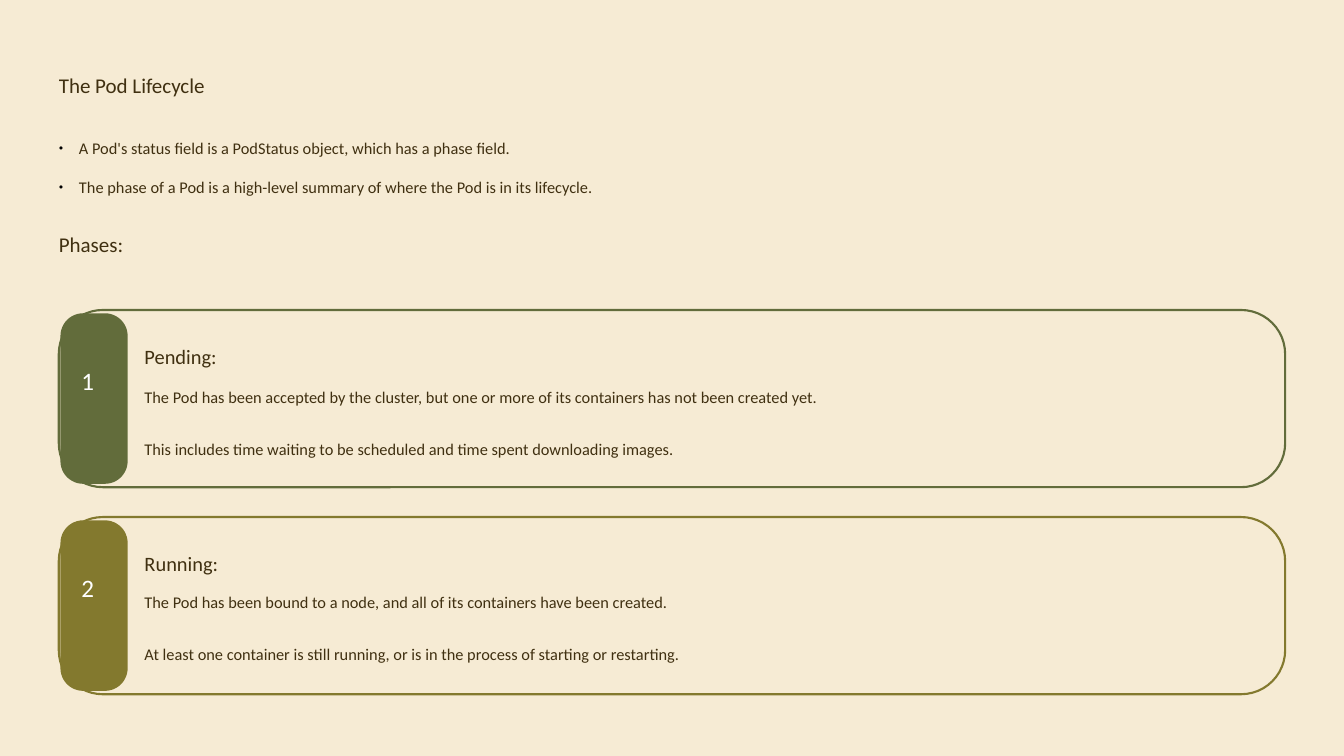
from lxml.etree import SubElement
from pptx import Presentation
from pptx.dml.color import RGBColor
from pptx.enum.shapes import MSO_SHAPE
from pptx.enum.text import MSO_ANCHOR, MSO_AUTO_SIZE, PP_ALIGN
from pptx.oxml.ns import qn
from pptx.util import Inches, Pt

CREAM = RGBColor(0xF6, 0xEB, 0xD4)
BROWN = RGBColor(0x40, 0x30, 0x11)
WHITE = RGBColor(0xFF, 0xFF, 0xFF)
GREEN = RGBColor(0x62, 0x6C, 0x3B)
OLIVE = RGBColor(0x83, 0x79, 0x2E)


def write(shape, box, lines, size, pitch, before=11.9, after=9.9, color=BROWN, bullet=False):
    shape.left, shape.top, shape.width, shape.height = [Inches(n) for n in box]
    frame = shape.text_frame
    frame.auto_size = MSO_AUTO_SIZE.NONE
    frame.word_wrap = True
    frame.vertical_anchor = MSO_ANCHOR.TOP
    frame.margin_left = frame.margin_right = frame.margin_top = frame.margin_bottom = 0
    for i, line in enumerate(lines):
        para = frame.add_paragraph() if i else frame.paragraphs[0]
        if bullet:
            props = para._p.get_or_add_pPr()
            props.set("marL", str(Inches(0.24)))
            props.set("indent", str(Inches(-0.24)))
            tint = SubElement(props, qn("a:buClr"))
            SubElement(tint, qn("a:srgbClr"), val="000000")
            SubElement(props, qn("a:buSzPct"), val="45000")
            SubElement(props, qn("a:buChar"), char="●")
        para.alignment = PP_ALIGN.LEFT
        para.line_spacing = Pt(pitch)
        para.space_before = Pt(before if i else 0)
        para.space_after = Pt(after)
        run = para.add_run()
        run.text = line
        run.font.name = "Calibri"
        run.font.size = Pt(size)
        run.font.color.rgb = color


def panel(box, curve):
    shape = slide.shapes.add_shape(MSO_SHAPE.ROUNDED_RECTANGLE, *[Inches(n) for n in box])
    shape.adjustments[0] = curve
    shape.shadow.inherit = False
    return shape


deck = Presentation()
deck.slide_width, deck.slide_height = Inches(16), Inches(9)
slide = deck.slides.add_slide(deck.slide_layouts[1])
slide.background.fill.solid()
slide.background.fill.fore_color.rgb = CREAM

write(slide.shapes.title, (0.7, 0.86, 4.08, 0.31), ["The Pod Lifecycle"], 18, 22)
write(slide.placeholders[1], (0.7, 1.57, 14.6, 0.8), [
    "A Pod's status field is a PodStatus object, which has a phase field.",
    "The phase of a Pod is a high-level summary of where the Pod is in its lifecycle.",
], 14, 22.5, 6.2, 4.2, bullet=True)
label = slide.shapes.add_textbox(0, 0, 0, 0)
write(label, (0.7, 2.75, 4.08, 0.31), ["Phases:"], 18, 22)

phases = [
    (GREEN, "Pending:", 0.84, [
        "The Pod has been accepted by the cluster, but one or more of its containers has not been created yet.",
        "This includes time waiting to be scheduled and time spent downloading images.",
    ]),
    (OLIVE, "Running:", 0.82, [
        "The Pod has been bound to a node, and all of its containers have been created.",
        "At least one container is still running, or is in the process of starting or restarting.",
    ]),
]
for i, (color, name, drop, lines) in enumerate(phases):
    top = 3.69 + 2.465 * i
    card = panel((0.7, top, 14.6, 2.11), 0.249)
    card.fill.background()
    card.line.color.rgb = color
    card.line.width = Pt(1.8)
    badge = panel((0.72, top + 0.04, 0.8, 2.03), 0.337)
    badge.fill.solid()
    badge.fill.fore_color.rgb = color
    badge.line.fill.background()
    digit, head, note = [slide.shapes.add_textbox(0, 0, 0, 0) for _ in range(3)]
    write(digit, (0.97, top + 0.72, 0.3, 0.66), [str(i + 1)], 21.5, 21.5, 0, 0, WHITE)
    write(head, (1.72, top + 0.39, 3.31, 0.55), [name], 17.5, 22)
    write(note, (1.72, top + drop, 11.6, 0.95), lines, 14, 22.5)

deck.save("out.pptx")
